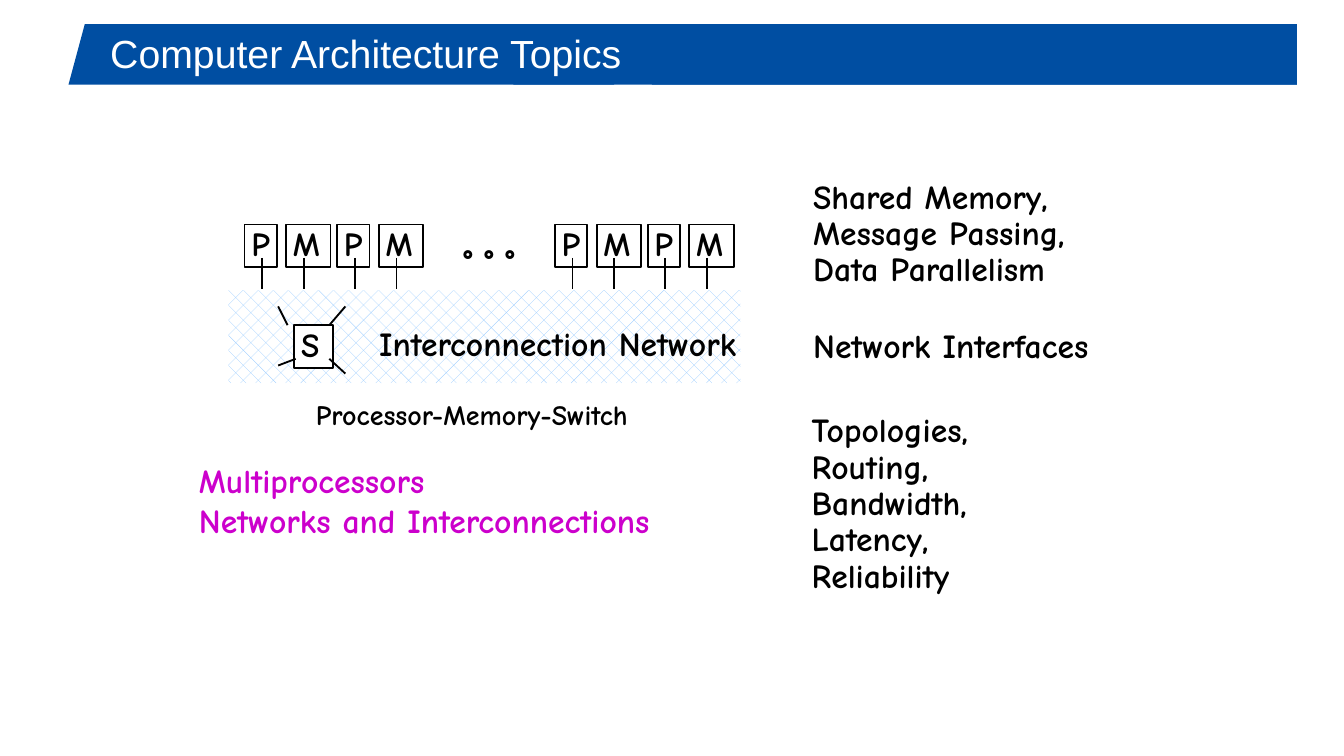
from lxml.etree import SubElement
from pptx import Presentation
from pptx.dml.color import RGBColor
from pptx.enum.dml import MSO_PATTERN
from pptx.enum.shapes import MSO_CONNECTOR, MSO_SHAPE
from pptx.enum.text import MSO_ANCHOR, MSO_AUTO_SIZE, PP_ALIGN
from pptx.oxml.ns import qn
from pptx.util import Inches, Pt

BLACK, WHITE, BLUE, PURPLE = "000000", "FFFFFF", "004EA2", "CC00CC"
TITLE_FONT, BODY_FONT = "Arial", "Comic Neue"
BOX_TOP, BOX_HEIGHT = 1.67, 0.32


def color(hex_code):
    return RGBColor.from_string(hex_code)


def write(shape, text, size=18, ink=BLACK, spacing=None, inset=(0.05, 0.02),
          font=BODY_FONT, bold=True, anchor=MSO_ANCHOR.TOP):
    """Fill a shape with left-aligned lines of text in one style."""
    frame = shape.text_frame
    frame.text = text
    frame.word_wrap = True
    frame.auto_size = MSO_AUTO_SIZE.NONE
    frame.vertical_anchor = anchor
    frame.margin_left = frame.margin_right = Inches(inset[0])
    frame.margin_top = frame.margin_bottom = Inches(inset[1])
    for para in frame.paragraphs:
        para.alignment = PP_ALIGN.LEFT
        if spacing:
            para.line_spacing = spacing
        for span in para.runs:
            span.font.name = font
            span.font.size = Pt(size)
            span.font.bold = bold
            span.font.color.rgb = color(ink)


def add_block(slide, left, top, width, height, fill=None,
              kind=MSO_SHAPE.RECTANGLE):
    block = slide.shapes.add_shape(
        kind, Inches(left), Inches(top), Inches(width), Inches(height))
    block.shadow.inherit = False
    block.line.fill.background()
    if fill:
        block.fill.solid()
        block.fill.fore_color.rgb = color(fill)
    else:
        block.fill.background()
    return block


def add_unit(slide, letter, left, top, width, fill=None):
    """Add an outlined box holding one letter."""
    unit = add_block(slide, left, top, width, BOX_HEIGHT, fill)
    unit.line.color.rgb = color(BLACK)
    unit.line.width = Pt(1)
    write(unit, letter, spacing=0.92)


def add_line(slide, x1, y1, x2, y2):
    line = slide.shapes.add_connector(
        MSO_CONNECTOR.STRAIGHT, Inches(x1), Inches(y1), Inches(x2), Inches(y2))
    line.line.color.rgb = color(BLACK)
    line.line.width = Pt(1)
    SubElement(line._element.spPr, qn("a:effectLst"))


def add_text(slide, text, left, top, width, height, **style):
    box = slide.shapes.add_textbox(
        Inches(left), Inches(top), Inches(width), Inches(height))
    write(box, text, **style)


def add_title(slide, text):
    """Draw the title banner and bring the title placeholder in front of it."""
    trapezoid = add_block(slide, 0.51, 0.18, 4.06, 0.45, BLUE,
                          MSO_SHAPE.TRAPEZOID)
    trapezoid.adjustments[0] = 0.27
    add_block(slide, 3.82, 0.18, 5.83, 0.45, BLUE)
    add_block(slide, 4.85, 0.59, 4.8, 0.04, BLUE)
    title = slide.shapes.title
    title.left, title.top = Inches(0.72), Inches(0.19)
    title.width, title.height = Inches(8.64), Inches(0.41)
    write(title, text, size=21, ink=WHITE, inset=(0.1, 0.05),
          font=TITLE_FONT, bold=False, anchor=MSO_ANCHOR.MIDDLE)
    slide.shapes._spTree.append(title._element)


def add_network(slide):
    network = add_block(slide, 1.7, 2.16, 3.81, 0.69)
    network.fill.patterned()
    network.fill.pattern = MSO_PATTERN.PERCENT_25
    network.fill.fore_color.rgb = color("99CCFF")
    network.fill.back_color.rgb = color(WHITE)
    add_text(slide, "Interconnection Network", 2.77, 2.43, 3.21, 0.3,
             spacing=0.85)
    add_unit(slide, "S", 2.19, 2.42, 0.29, WHITE)
    for ends in ((2.45, 2.42, 2.57, 2.28), (2.14, 2.42, 2.07, 2.28),
                 (2.2, 2.67, 2.07, 2.72), (2.45, 2.67, 2.57, 2.78)):
        add_line(slide, *ends)


def add_nodes(slide):
    """Add two groups of two processor-memory pairs, wired to the network."""
    for group_left in (1.82, 4.13):
        for pair_left in (group_left, group_left + 0.69):
            for letter, offset, width in (("P", 0, 0.24), ("M", 0.31, 0.33)):
                left = pair_left + offset
                add_unit(slide, letter, left, BOX_TOP, width)
                add_line(slide, left + 0.13, 1.92, left + 0.13, 2.15)
    add_text(slide, "° ° °", 3.4, 1.81, 1.03, 0.3, spacing=0.85)


def main():
    deck = Presentation()
    deck.slide_width = Inches(10)
    deck.slide_height = deck.slide_width * 9 // 16
    slide = deck.slides.add_slide(deck.slide_layouts[5])

    add_title(slide, "Computer Architecture Topics")
    add_network(slide)
    add_nodes(slide)

    add_text(slide, "Shared Memory,\nMessage Passing,\nData Parallelism",
             6, 1.32, 2.18, 0.86, spacing=0.9)
    add_text(slide, "Network Interfaces", 6, 2.43, 2.59, 0.32, spacing=0.9)
    add_text(slide, "Topologies,\nRouting,\nBandwidth,\nLatency,\nReliability",
             5.99, 3.06, 1.47, 1.4, spacing=0.9)
    add_text(slide, "Processor-Memory-Switch", 2.28, 2.92, 2.85, 0.33,
             size=15, inset=(0.07, 0.04))
    add_text(slide, "Multiprocessors\nNetworks and Interconnections",
             1.41, 3.38, 4.02, 0.68, ink=PURPLE, inset=(0.07, 0.04))
    deck.save("out.pptx")


if __name__ == "__main__":
    main()
